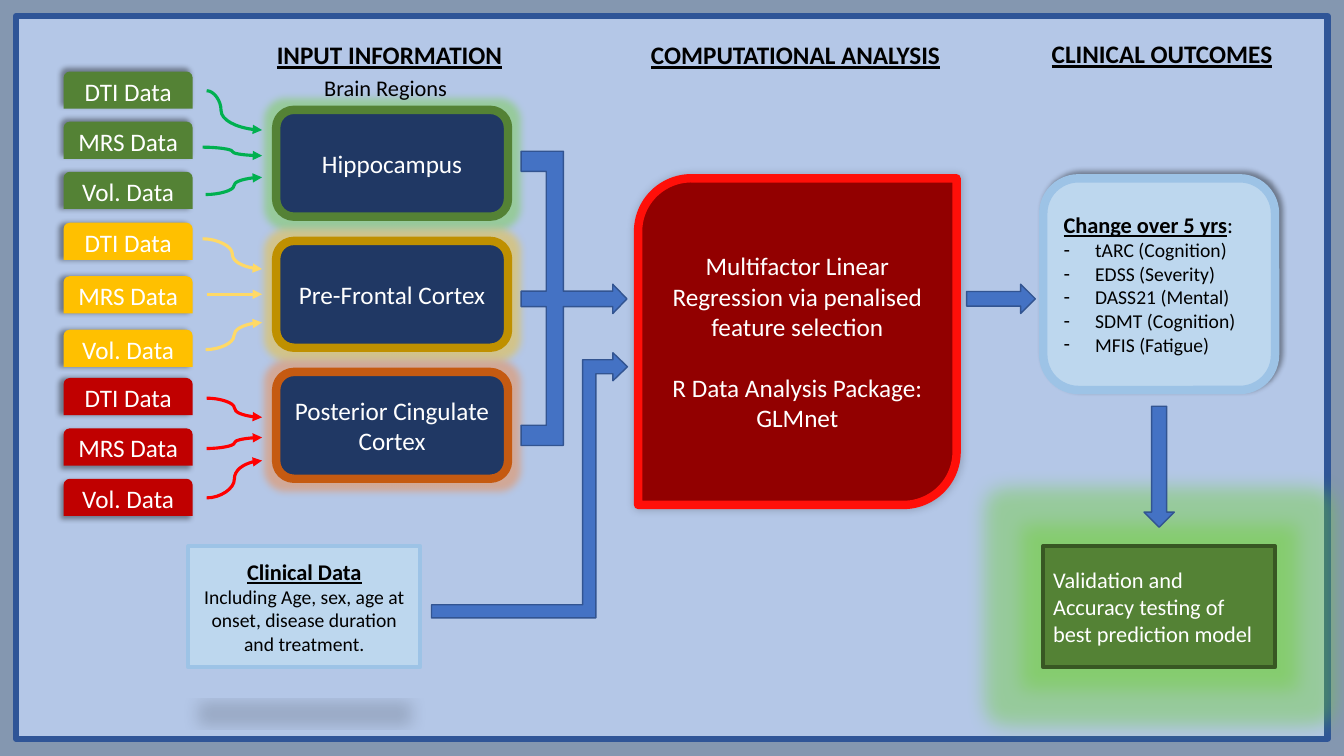
from lxml import etree
from pptx import Presentation
from pptx.dml.color import RGBColor
from pptx.enum.shapes import MSO_CONNECTOR, MSO_SHAPE
from pptx.enum.text import MSO_ANCHOR, MSO_AUTO_SIZE, PP_ALIGN
from pptx.oxml.ns import qn
from pptx.util import Pt

LEFT, CENTER = PP_ALIGN.LEFT, PP_ALIGN.CENTER
TOP, MIDDLE = MSO_ANCHOR.TOP, MSO_ANCHOR.MIDDLE
CURVE, STRAIGHT = MSO_CONNECTOR.CURVE, MSO_CONNECTOR.STRAIGHT
RECTANGLE, ROUNDED = MSO_SHAPE.RECTANGLE, MSO_SHAPE.ROUNDED_RECTANGLE
TAB, DIAGONAL = MSO_SHAPE.ROUND_2_SAME_RECTANGLE, MSO_SHAPE.ROUND_2_DIAG_RECTANGLE
RIGHT_ARROW, DOWN_ARROW = MSO_SHAPE.RIGHT_ARROW, MSO_SHAPE.DOWN_ARROW

FONT = "Calibri"
BLACK, WHITE = RGBColor(0, 0, 0), RGBColor(255, 255, 255)
BACKDROP = RGBColor(0x84, 0x97, 0xB0)
PANEL, PANEL_EDGE = RGBColor(0xB4, 0xC7, 0xE7), RGBColor(0x2F, 0x55, 0x97)
NAVY = RGBColor(0x20, 0x38, 0x64)
GREEN, DARK_GREEN = RGBColor(0x54, 0x82, 0x35), RGBColor(0x38, 0x57, 0x23)
GOLD, DARK_GOLD = RGBColor(0xFF, 0xC0, 0x00), RGBColor(0xBF, 0x90, 0x00)
RED, ORANGE = RGBColor(0xC0, 0x00, 0x00), RGBColor(0xC5, 0x5A, 0x11)
MAROON, BRIGHT_RED = RGBColor(0x92, 0x00, 0x00), RGBColor(0xFF, 0x0F, 0x09)
SKY, SKY_EDGE = RGBColor(0xBD, 0xD7, 0xEE), RGBColor(0x9D, 0xC3, 0xE6)
BLUE, BLUE_EDGE = RGBColor(0x44, 0x72, 0xC4), RGBColor(0x32, 0x54, 0x91)
GREEN_GLOW = RGBColor(0x6C, 0xD0, 0x2C)
ORANGE_GLOW = RGBColor(0xFF, 0x7A, 0x1F)
GREEN_LINK, GOLD_LINK = RGBColor(0x00, 0xB0, 0x50), RGBColor(0xFF, 0xD9, 0x66)
RED_LINK = RGBColor(0xFF, 0x00, 0x00)

# name, tab fill, border, glow, link colour, first tab top, tab step,
# shadow angles, links as (start x, start y, end y, bend)
REGIONS = [
    ("Hippocampus", GREEN, GREEN, GREEN_GLOW, GREEN_LINK, 51.1, 35.8, (225, 225, 180),
     [(147.6, 64.8, 92.9, 0.26), (144.7, 105.1, 111.2, 0.5), (146.9, 139, 126.7, 0.5)]),
    ("Pre-Frontal Cortex", GOLD, DARK_GOLD, GOLD, GOLD_LINK, 159.1, 38.2, (180, 180, 180),
     [(144.7, 170.6, 192.2, 0.5), (147.6, 210.2, 210.2, 0.5), (146.9, 249.8, 230.4, 0.5)]),
    ("Posterior Cingulate Cortex", RED, ORANGE, ORANGE_GLOW, RED_LINK, 270, 36,
     (180, 135, 135),
     [(147.6, 284.4, 298.1, 0.5), (147.6, 320.4, 312.5, 0.5), (147.6, 355.7, 329, 0.5)]),
]
MERGE_ARROW = [
    (0, 0), (30.2, 0), (30.2, 100), (65.5, 100), (65.5, 95), (75.6, 105.5), (65.5, 116),
    (65.5, 111), (30.2, 111), (30.2, 210.2), (0, 210.2), (0, 195.8), (18, 195.8),
    (18, 111), (0, 111), (0, 100), (18, 100), (18, 14.4), (0, 14.4)]
CLINICAL_ARROW = [
    (129.6, 0), (140, 10), (129.6, 20), (129.6, 15), (117.4, 15), (117.4, 189.4),
    (0, 189.4), (0, 180), (108, 180), (108, 5), (129.6, 5)]


def points(box):
    return [Pt(length) for length in box]


def add_effect(shape, kind, color, alpha, **settings):
    """Append a glow or outer shadow to the shape's effect list."""
    effects = shape._element.spPr.find(qn("a:effectLst"))
    effect = etree.SubElement(effects, qn(f"a:{kind}"))
    for name, value in settings.items():
        effect.set(name, str(int(value)))
    tint = etree.SubElement(effect, qn("a:srgbClr"), val=str(color))
    etree.SubElement(tint, qn("a:alpha"), val=str(alpha * 1000))


def add_glow(shape, color, radius):
    add_effect(shape, "glow", color, 40, rad=Pt(radius))


def add_shadow(shape, alpha, blur, distance, angle, **scale):
    add_effect(shape, "outerShdw", BLACK, alpha, blurRad=Pt(blur), dist=Pt(distance),
               dir=angle * 60000, **scale)


def paint(shape, fill, edge=None, width=1):
    shape.shadow.inherit = False
    shape.fill.solid()
    shape.fill.fore_color.rgb = fill
    if edge is None:
        shape.line.fill.background()
    else:
        shape.line.color.rgb = edge
        shape.line.width = Pt(width)


def add_block(slide, kind, box, fill, edge=None, width=1):
    shape = slide.shapes.add_shape(kind, *points(box))
    paint(shape, fill, edge, width)
    return shape


def write(shape, paragraphs, color, align=CENTER, anchor=MIDDLE, gap=0):
    """Fill a shape; each paragraph is a list of (text, size, is_heading) runs."""
    frame = shape.text_frame
    frame.word_wrap = True
    frame.auto_size = MSO_AUTO_SIZE.NONE
    frame.vertical_anchor = anchor
    for index, runs in enumerate(paragraphs):
        paragraph = frame.add_paragraph() if index else frame.paragraphs[0]
        paragraph.alignment = align
        paragraph.space_before = Pt(gap if index else 0)
        for text, size, is_heading in runs:
            run = paragraph.add_run()
            run.text = text
            run.font.name, run.font.size = FONT, Pt(size)
            run.font.bold = run.font.underline = is_heading
            run.font.color.rgb = color


def add_link(slide, start, end, color, bend):
    kind = STRAIGHT if start[1] == end[1] else CURVE
    link = slide.shapes.add_connector(kind, *points(start + end))
    link.line.color.rgb = color
    link.line.width = Pt(2.25)
    properties = link._element.spPr
    etree.SubElement(properties.find(qn("a:ln")), qn("a:tailEnd"), type="triangle")
    etree.SubElement(properties, qn("a:effectLst"))
    if kind == CURVE:
        guides = properties.find(qn("a:prstGeom")).get_or_add_avLst()
        etree.SubElement(guides, qn("a:gd"), name="adj1", fmla=f"val {int(bend * 100000)}")


def add_bent_arrow(slide, left, top, outline):
    corners = [(Pt(left + x), Pt(top + y)) for x, y in outline]
    builder = slide.shapes.build_freeform(*corners[0], scale=1.0)
    builder.add_line_segments(corners[1:], close=True)
    paint(builder.convert_to_shape(), BLUE, BLUE_EDGE)


def add_headings(slide):
    title = slide.shapes.title
    slide.shapes._spTree.append(title._element)
    headings = [("INPUT INFORMATION", 18, True, 278.2, 39),
                ("COMPUTATIONAL ANALYSIS", 18, True, 568.2, 39),
                ("CLINICAL OUTCOMES", 18, True, 830, 38.2),
                ("Brain Regions", 16, False, 275.4, 62.5)]
    for text, size, is_heading, center, middle in headings:
        box = points((center - 120, middle - 14.5, 240, 29))
        if text == "COMPUTATIONAL ANALYSIS":
            shape = title
            shape.left, shape.top, shape.width, shape.height = box
        else:
            shape = slide.shapes.add_textbox(*box)
        write(shape, [[(text, size, is_heading)]], BLACK)


def add_region(slide, top, region):
    name, fill, border, glow, link_color, tab_top, step, angles, links = region
    core = add_block(slide, ROUNDED, (197.3, top, 165.6, 76.3), NAVY, border, 6)
    add_glow(core, glow, 11)
    write(core, [[(name, 18, False)]], WHITE)
    for index, label in enumerate(("DTI Data", "MRS Data", "Vol. Data")):
        tab = add_block(slide, TAB, (45.4, tab_top + index * step, 92.2, 26.6), fill)
        add_shadow(tab, 40, 4, 3, angles[index])
        write(tab, [[(label, 18, False)]], WHITE)
        start_x, start_y, end_y, bend = links[index]
        add_link(slide, (start_x, start_y), (187.2, end_y), link_color, bend)


def add_clinical_data(slide, box):
    card = add_block(slide, RECTANGLE, box, SKY, SKY_EDGE, 3)
    add_shadow(card, 15, 12, 25, 90, sx=90000, sy=-19000, rotWithShape=0)
    details = "Including Age, sex, age at onset, disease duration and treatment."
    write(card, [[("Clinical Data", 16, True)], [(details, 14, False)]], BLACK)


def add_analysis(slide, box):
    card = add_block(slide, DIAGONAL, box, MAROON, BRIGHT_RED, 6)
    add_shadow(card, 20, 6, 0, 315)
    method = "Multifactor Linear Regression via penalised feature selection"
    write(card, [[(method, 18, False)], [("R Data Analysis Package: GLMnet", 18, False)]],
          WHITE, gap=22)


def add_outcomes(slide, left, top):
    card = add_block(slide, ROUNDED, (left, top, 165.6, 151.2), SKY, SKY_EDGE, 6)
    add_shadow(card, 40, 4, 3, 315)
    body = slide.placeholders[1]
    slide.shapes._spTree.append(body._element)
    body.left, body.top, body.width, body.height = points(
        (left + 7.3, top + 20, 151, 113))
    measures = ("tARC (Cognition)", "EDSS (Severity)", "DASS21 (Mental)",
                "SDMT (Cognition)", "MFIS (Fatigue)")
    heading = [("Change over 5 yrs", 16, True), (":", 16, False)]
    write(body, [heading] + [[(measure, 14, False)] for measure in measures],
          BLACK, LEFT, TOP)
    for index, paragraph in enumerate(body.text_frame.paragraphs):
        properties = paragraph._p.get_or_add_pPr()
        indent = Pt(22.5) if index else 0
        properties.set("marL", str(indent))
        properties.set("indent", str(-indent))
        if index:
            etree.SubElement(properties, qn("a:buChar"), char="-")
        else:
            etree.SubElement(properties, qn("a:buNone"))


def add_validation(slide, box):
    card = add_block(slide, RECTANGLE, box, GREEN, DARK_GREEN, 3)
    add_glow(card, GREEN_GLOW, 28)
    text = "Validation and Accuracy testing of best prediction model"
    write(card, [[(text, 16, False)]], WHITE, LEFT)


def main():
    presentation = Presentation()
    presentation.slide_width, presentation.slide_height = Pt(960), Pt(540)
    slide = presentation.slides.add_slide(presentation.slide_layouts[1])
    slide.background.fill.solid()
    slide.background.fill.fore_color.rgb = BACKDROP
    add_block(slide, RECTANGLE, (11.5, 11.5, 936.7, 516.2), PANEL, PANEL_EDGE, 4.5)
    for index, region in enumerate(REGIONS):
        add_region(slide, 78.5 + index * 93.6, region)
    add_clinical_data(slide, (134.6, 390.2, 165.6, 86.4))
    add_analysis(slide, (455.8, 127.4, 227.5, 233.3))
    add_outcomes(slide, 745.2, 127.4)
    add_validation(slide, (745.2, 390.2, 165.6, 86.4))
    add_block(slide, RIGHT_ARROW, (690.5, 203, 49, 20.9), BLUE, BLUE_EDGE)
    add_block(slide, DOWN_ARROW, (817.2, 290.2, 21.6, 86.4), BLUE, BLUE_EDGE)
    add_bent_arrow(slide, 372.2, 108, MERGE_ARROW)
    add_bent_arrow(slide, 308.2, 252, CLINICAL_ARROW)
    add_headings(slide)
    presentation.save("out.pptx")


if __name__ == "__main__":
    main()
